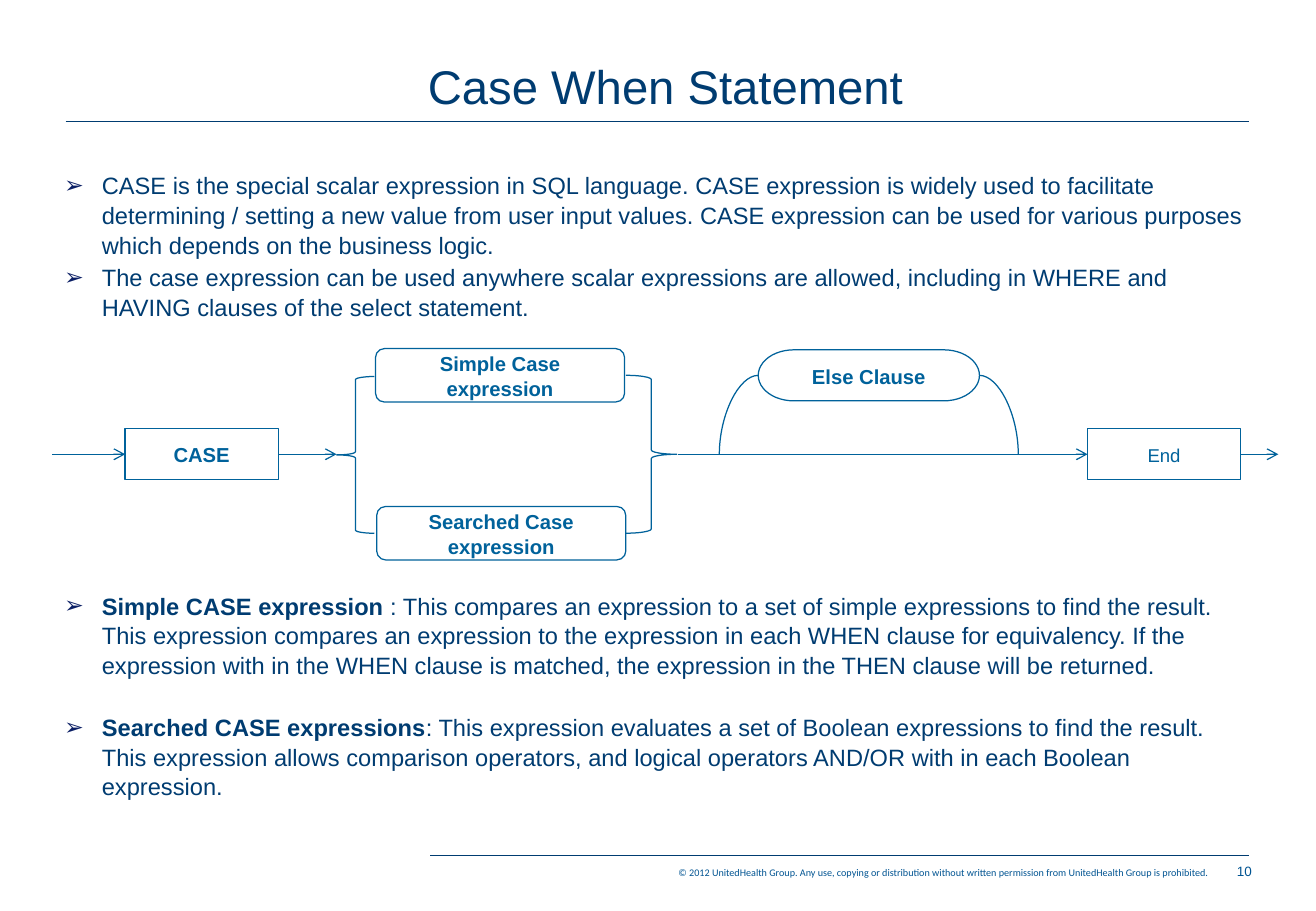
from typing import NamedTuple, Optional

from lxml.etree import SubElement as Sub
from pptx import Presentation
from pptx.dml.color import RGBColor as Rgb
from pptx.enum.shapes import MSO_CONNECTOR as Conn, MSO_SHAPE as Form
from pptx.enum.text import MSO_ANCHOR as Anchor, PP_ALIGN as Align
from pptx.oxml.ns import qn
from pptx.util import Emu, Pt

PX = 9144
HUES = {"navy": "003C71", "blue": "00629B", "foot": "005492", "mark": "0B1F65", "white": "FFFFFF"}
TOP, LEFT, BOTTOM, RIGHT = range(4)


class Area(NamedTuple):
    x: int
    y: int
    w: int
    h: int


class Node(NamedTuple):
    name: str
    form: Form
    area: Area
    size: int = 12
    bold: bool = True


class Brace(NamedTuple):
    form: Form
    area: Area


class Wire(NamedTuple):
    start: tuple[int, int]
    end: tuple[int, int]
    hue: str = "blue"
    width: float = 0.75
    arrow: bool = False
    bend: bool = False
    source: Optional[str] = None
    target: Optional[str] = None


class Label(NamedTuple):
    text: str
    area: Area
    size: int
    hue: str
    align: Align
    font: str = "Arial"
    anchor: Anchor = Anchor.TOP
    inset: bool = True


class Point(NamedTuple):
    lead: str
    rest: str


class Notes(NamedTuple):
    area: Area
    gap: float
    points: list[Point]


NODES = [
    Node("CASE", Form.RECTANGLE, Area(103, 353, 126, 42)),
    Node("Simple Case expression", Form.ROUNDED_RECTANGLE, Area(309, 287, 205, 44)),
    Node("Searched Case expression", Form.ROUNDED_RECTANGLE, Area(310, 417, 205, 44)),
    Node("Else Clause", Form.FLOWCHART_TERMINATOR, Area(624, 288, 182, 42)),
    Node("End", Form.RECTANGLE, Area(895, 353, 126, 42), 11, False),
]
BRACES = [
    Brace(Form.RIGHT_BRACE, Area(515, 309, 42, 130)),
    Brace(Form.LEFT_BRACE, Area(277, 310, 31, 129)),
]
WIRES = [
    Wire((54, 100), (1028, 100), "navy", 0.5),
    Wire((354, 704), (1028, 704), "navy", 0.5),
    Wire((43, 374), (103, 374), arrow=True, target="CASE"),
    Wire((229, 374), (277, 374), arrow=True, source="CASE"),
    Wire((558, 374), (895, 374), arrow=True, target="End"),
    Wire((1021, 374), (1052, 374), arrow=True, source="End"),
    Wire((624, 309), (592, 374), bend=True),
    Wire((806, 309), (838, 374), bend=True),
]
LABELS = [
    Label("Case When Statement", Area(56, 23, 983, 76), 28, "navy", Align.CENTER, anchor=Anchor.BOTTOM),
    Label("© 2012 UnitedHealth Group. Any use, copying or distribution without written permission "
          "from UnitedHealth Group is prohibited.",
          Area(359, 713, 635, 10), 6, "foot", Align.RIGHT, "Calibri", inset=False),
    Label("10", Area(1002, 706, 44, 24), 8, "foot", Align.CENTER),
]
NOTES = [
    Notes(Area(43, 135, 992, 130), 1.4, [
        Point("", "CASE is the special scalar expression in SQL language. CASE expression is widely used "
              "to facilitate determining / setting a new value from user input values. CASE expression "
              "can be used for various purposes which depends on the business logic."),
        Point("", "The case expression can be used anywhere scalar expressions are allowed, including "
              "in WHERE and HAVING clauses of the select statement."),
    ]),
    Notes(Area(43, 481, 992, 206), 19, [
        Point("Simple CASE expression ",
              ": This compares an expression to a set of simple expressions to find the result. "
              "This expression compares an expression to the expression in each WHEN clause for "
              "equivalency. If the expression with in the WHEN clause is matched, the expression "
              "in the THEN clause will be returned."),
        Point("Searched CASE expressions",
              ": This expression evaluates a set of Boolean expressions to find the result. "
              "This expression allows comparison operators, and logical operators AND/OR with in "
              "each Boolean expression."),
    ]),
]


def color(hue: str) -> Rgb:
    return Rgb.from_string(HUES[hue])


def scale(*sides: int) -> list[Emu]:
    return [Emu(side * PX) for side in sides]


def style(run, size: int, hue: str, bold: bool = False, font: str = "Arial") -> None:
    run.font.size, run.font.name, run.font.bold = Pt(size), font, bold
    run.font.color.rgb = color(hue)


def outline(shape, hue: str, width: float) -> None:
    shape.line.color.rgb = color(hue)
    shape.line.width = Pt(width)


def draw_shape(shapes, form: Form, area: Area):
    shape = shapes.add_shape(form, *scale(*area))
    shape.shadow.inherit = False
    outline(shape, "blue", 0.75)
    return shape


def draw_node(shapes, node: Node):
    shape = draw_shape(shapes, node.form, node.area)
    shape.fill.solid()
    shape.fill.fore_color.rgb = color("white")
    frame = shape.text_frame
    frame.text, frame.word_wrap = node.name, True
    frame.vertical_anchor = Anchor.MIDDLE
    para = frame.paragraphs[0]
    para.alignment, para.line_spacing = Align.CENTER, 1.05
    style(para.runs[0], node.size, "blue", node.bold)
    return shape


def draw_brace(shapes, brace: Brace) -> None:
    draw_shape(shapes, brace.form, brace.area).fill.background()


def draw_wire(shapes, wire: Wire, nodes: dict) -> None:
    kind = Conn.CURVE if wire.bend else Conn.STRAIGHT
    line = shapes.add_connector(kind, *scale(*wire.start, *wire.end))
    outline(line, wire.hue, wire.width)
    props = line._element.spPr
    if wire.bend:
        props.find(qn("a:prstGeom")).set("prst", "curvedConnector2")
    if wire.arrow:
        Sub(props.find(qn("a:ln")), qn("a:tailEnd"), type="arrow")
    Sub(props, qn("a:effectLst"))
    if wire.source:
        line.begin_connect(nodes[wire.source], RIGHT)
    if wire.target:
        line.end_connect(nodes[wire.target], LEFT)


def draw_label(shapes, label: Label) -> None:
    frame = shapes.add_textbox(*scale(*label.area)).text_frame
    frame.text, frame.word_wrap = label.text, True
    frame.vertical_anchor = label.anchor
    if not label.inset:
        frame.margin_left = frame.margin_right = frame.margin_top = frame.margin_bottom = 0
    para = frame.paragraphs[0]
    para.alignment = label.align
    style(para.runs[0], label.size, label.hue, font=label.font)


def add_mark(para) -> None:
    props = para._p.get_or_add_pPr()
    props.set("marL", str(31 * PX))
    props.set("indent", str(-31 * PX))
    Sub(Sub(props, qn("a:buClr")), qn("a:srgbClr"), val=HUES["mark"])
    Sub(props, qn("a:buFont"), typeface="Arial")
    Sub(props, qn("a:buChar"), char="➢")


def draw_notes(shapes, notes: Notes) -> None:
    frame = shapes.add_textbox(*scale(*notes.area)).text_frame
    frame.word_wrap = True
    for rank, point in enumerate(notes.points):
        para = frame.add_paragraph() if rank else frame.paragraphs[0]
        para.text = point.lead or point.rest
        if point.lead:
            para.add_run().text = point.rest
        add_mark(para)
        para.line_spacing = 1.05
        if rank:
            para.space_before = Pt(notes.gap)
        for run in para.runs:
            style(run, 14, "navy", run.text == point.lead)


def main() -> None:
    deck = Presentation()
    deck.slide_width, deck.slide_height = scale(1083, 750)
    shapes = deck.slides.add_slide(deck.slide_layouts[6]).shapes
    nodes = {node.name: draw_node(shapes, node) for node in NODES}
    for brace in BRACES:
        draw_brace(shapes, brace)
    for wire in WIRES:
        draw_wire(shapes, wire, nodes)
    for label in LABELS:
        draw_label(shapes, label)
    for notes in NOTES:
        draw_notes(shapes, notes)
    deck.save("out.pptx")


if __name__ == "__main__":
    main()
